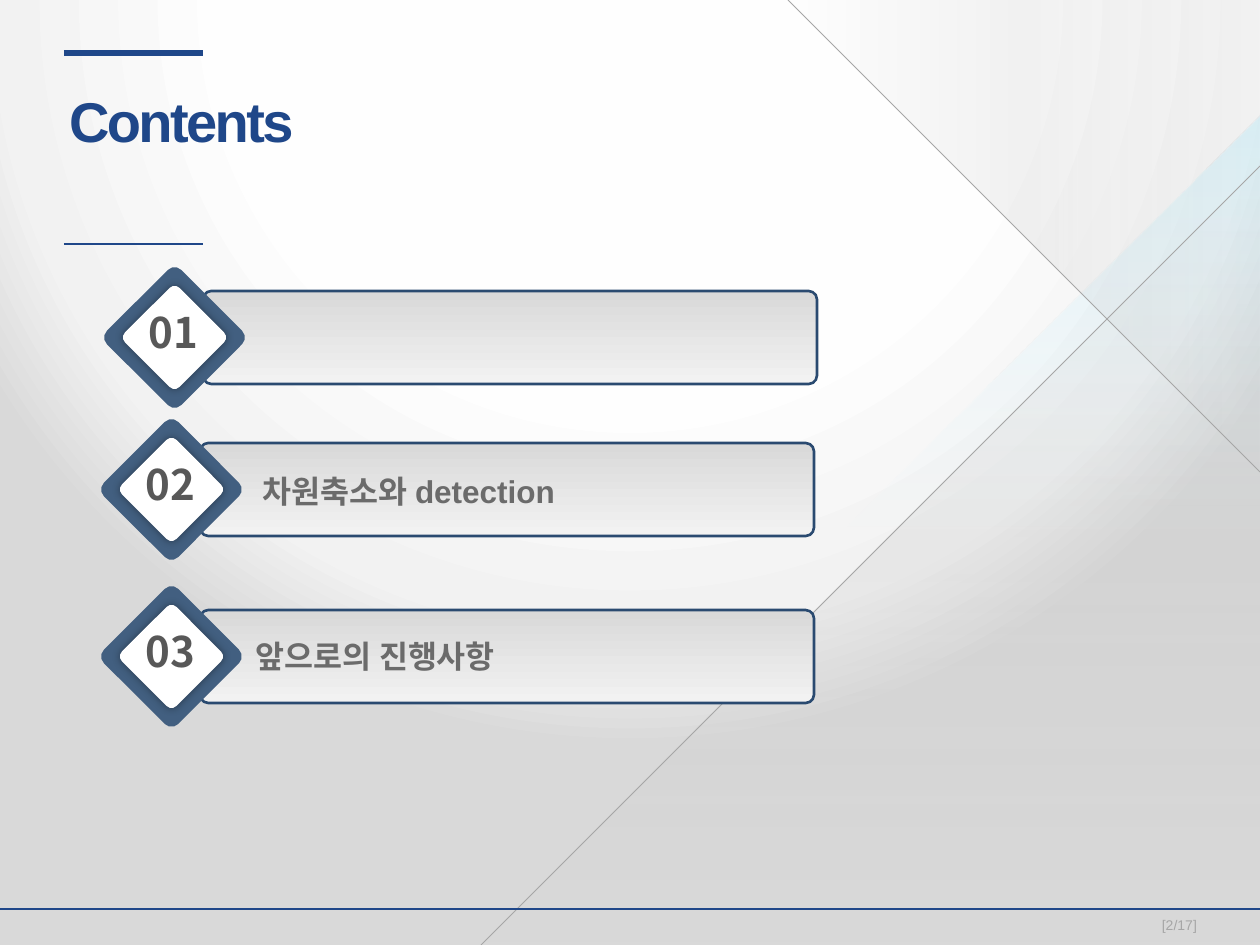
from lxml.etree import SubElement
from pptx import Presentation
from pptx.dml.color import RGBColor
from pptx.enum.shapes import MSO_CONNECTOR as CONN, MSO_SHAPE as SHAPE
from pptx.enum.text import MSO_ANCHOR as ANCHOR, MSO_AUTO_SIZE as AUTO, PP_ALIGN as ALIGN
from pptx.oxml.ns import qn
from pptx.util import Emu, Pt

SCALE = 914400 / 126
W, H = 1260, 945
NAVY, GREY = "1F4789", "A6A6A6"
KOREAN = "Noto Sans CJK KR"
SHEEN = [(0, "BFBFBF", 0), (50, "BFBFBF", 20), (100, "BFBFBF", 0)]


def px(n):
    return Emu(round(n * SCALE))


def rgb(color):
    return RGBColor.from_string(color)


def add_color(parent, color, alpha=100):
    clr = SubElement(parent, qn("a:srgbClr"), val=color)
    if alpha < 100:
        SubElement(clr, qn("a:alpha"), val=str(alpha * 1000))


def gradient(fill, element, stops, angle=None, circle=None):
    """Stops are (percent, colour[, opacity]); circle is l, t, r, b in percent."""
    fill.gradient()
    grad = element.find(".//" + qn("a:gradFill"))
    grad.clear()
    grad.set("rotWithShape", "1")
    gs_list = SubElement(grad, qn("a:gsLst"))
    for pos, *color in stops:
        add_color(SubElement(gs_list, qn("a:gs"), pos=str(pos * 1000)), *color)
    if circle:
        path = SubElement(grad, qn("a:path"), path="circle")
        sides = {k: str(v * 1000) for k, v in zip("ltrb", circle)}
        SubElement(path, qn("a:fillToRect"), **sides)
    else:
        SubElement(grad, qn("a:lin"), ang=str(angle * 60000), scaled="0")


def add_shape(s, kind, x, y, w, h, fill=None, rot=0, adj=None):
    sp = s.shapes.add_shape(kind, px(x), px(y), px(w), px(h))
    sp.shadow.inherit = False
    sp.rotation = rot
    sp.line.fill.background()
    if adj is not None:
        sp.adjustments[0] = adj
    if fill:
        sp.fill.solid()
        sp.fill.fore_color.rgb = rgb(fill)
    else:
        sp.fill.background()
    return sp


def add_line(s, x1, y1, x2, y2, color=NAVY, width=1):
    ln = s.shapes.add_connector(CONN.STRAIGHT, px(x1), px(y1), px(x2), px(y2))
    ln.line.color.rgb = rgb(color)
    ln.line.width = Pt(width)
    SubElement(ln._element.spPr, qn("a:effectLst"))


def set_text(sp, text, size, color, font="Arial", bold=False, align=ALIGN.LEFT,
             spacing=None, insets=None, wrap=True):
    tf = sp.text_frame
    tf.auto_size = AUTO.NONE
    tf.word_wrap = wrap
    tf.vertical_anchor = ANCHOR.MIDDLE
    if insets:
        (tf.margin_left, tf.margin_top,
         tf.margin_right, tf.margin_bottom) = map(px, insets)
    p = tf.paragraphs[0]
    p.alignment = align
    r = p.add_run()
    r.text = text
    r.font.size, r.font.bold, r.font.name = Pt(size), bold, font
    r.font.color.rgb = rgb(color)
    SubElement(r.font._element, qn("a:ea"), typeface=KOREAN)
    if spacing:
        r.font._element.set("spc", str(round(spacing * 100)))


def add_text(s, x, y, w, h, text, **fmt):
    set_text(s.shapes.add_textbox(px(x), px(y), px(w), px(h)), text, **fmt)


def add_backdrop(s):
    gradient(s.background.fill, s._element,
             [(0, "FFFFFF"), (50, "FEFEFE"), (80, "F2F2F2"), (95, "D9D9D9")],
             circle=(50, -80, 50, 180))
    # Tinted wedge
    fb = s.shapes.build_freeform(px(W), px(H), scale=1.0)
    fb.add_line_segments([(px(426), px(H)), (px(W), px(116))], close=True)
    wedge = fb.convert_to_shape()
    wedge.shadow.inherit = False
    wedge.line.fill.background()
    gradient(wedge.fill, wedge._element,
             [(0, "BFBFBF", 0), (50, "D0F3FE", 0), (100, "A1E7FC", 30)], angle=270)
    # Sheen triangles in the right-hand corners, with their diagonals
    for x, y, side, rot in ((481, 166, 779, 270), (788, 0, 472, 180)):
        tri = add_shape(s, SHAPE.RIGHT_TRIANGLE, x, y, side, side, rot=rot)
        gradient(tri.fill, tri._element, SHEEN, angle=0)
    add_line(s, 481, H, W, 166, GREY, 0.5)
    add_line(s, 788, 0, W, 472, GREY, 0.5)
    # Footer rule
    add_line(s, 233, 909, W, 909)
    add_line(s, 0, 909, 253, 909)


def add_title(s, text):
    title = s.shapes.title
    title.left, title.top, title.width, title.height = map(px, (69, 76, 446, 89))
    set_text(title, text, size=32, color=NAVY, bold=True, spacing=-1.5,
             insets=(0, 0, 0, 0))
    add_line(s, 64, 53, 203, 53, width=3)
    add_line(s, 64, 244, 203, 244)


def add_item(s, x, y, number):
    bar = add_shape(s, SHAPE.ROUNDED_RECTANGLE, x, y, 614, 93, adj=0.09)
    gradient(bar.fill, bar._element, [(1, "F2F2F2"), (99, "D9D9D9")], angle=270)
    bar.line.color.rgb = rgb("2A4A70")
    bar.line.width = Pt(1.5)
    # Diamond badge
    add_shape(s, SHAPE.ROUNDED_RECTANGLE, x - 81, y - 6, 105, 105,
              fill="425F80", rot=45, adj=0.09)
    inner = add_shape(s, SHAPE.ROUNDED_RECTANGLE, x - 67, y + 8, 77, 77,
                      fill="FFFFFF", rot=45, adj=0.09)
    effects = inner._element.spPr.find(qn("a:effectLst"))
    shadow = SubElement(effects, qn("a:outerShdw"), blurRad=str(Pt(5)), dist="0",
                        dir="0", algn="ctr", rotWithShape="0")
    add_color(shadow, "000000", 40)
    label = add_shape(s, SHAPE.OVAL, x - 66, y + 14, 73, 54)
    set_text(label, f"{number:02}", size=24, color="585858", font=KOREAN, bold=True,
             align=ALIGN.CENTER, wrap=False)


def main():
    prs = Presentation()
    prs.slide_width, prs.slide_height = px(W), px(H)
    s = prs.slides.add_slide(prs.slide_layouts[5])

    add_backdrop(s)
    add_title(s, "Contents")
    add_text(s, 1099, 912, 161, 25, "[2/17]", size=8, color=GREY,
             align=ALIGN.CENTER, insets=(0, 0, 0, 0))

    # Numbered bars and their headings
    for number, (x, y) in enumerate([(203, 291), (200, 443), (200, 610)], 1):
        add_item(s, x, y, number)
    for x, y, text in ((248, 456, "차원축소와 detection"),
                       (241, 621, "앞으로의 진행사항")):
        add_text(s, x, y, 673, 64, text, size=18, color="6B6B6B", bold=True,
                 insets=(15, 15, 20, 10))

    prs.save("out.pptx")


if __name__ == "__main__":
    main()
